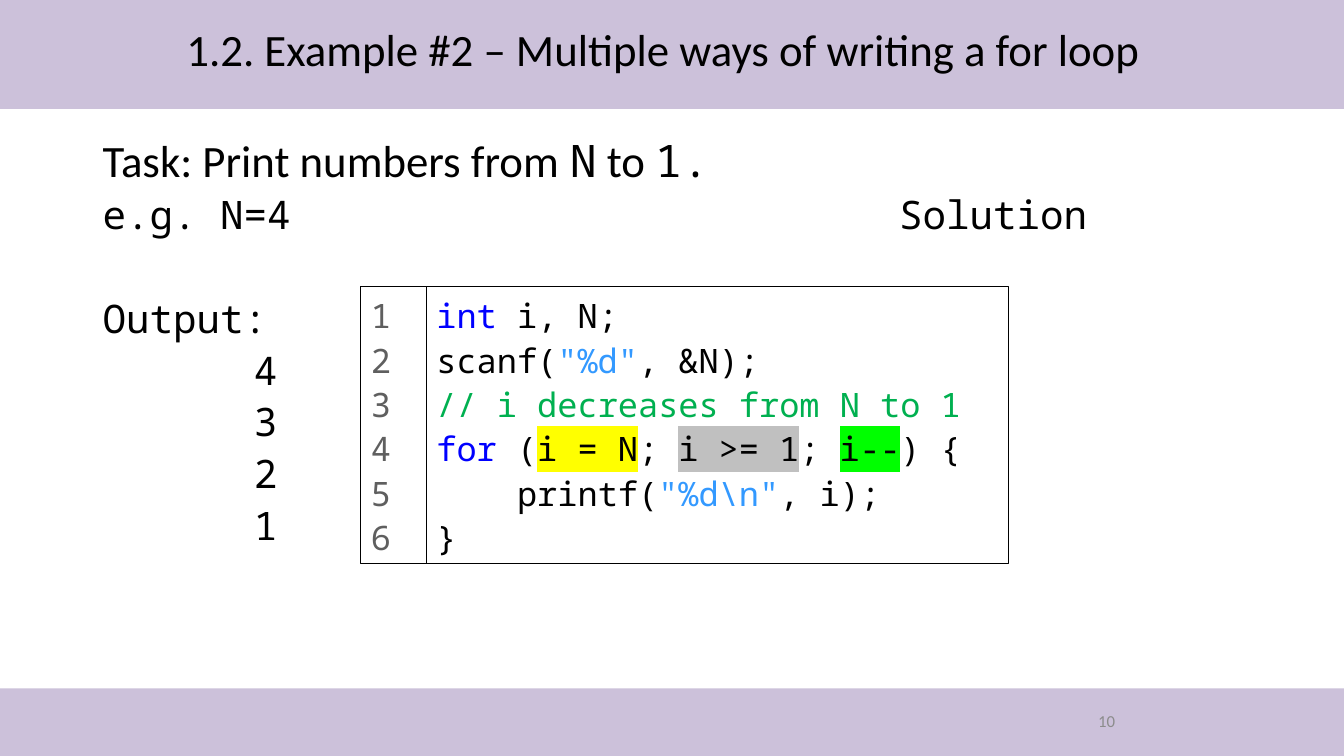
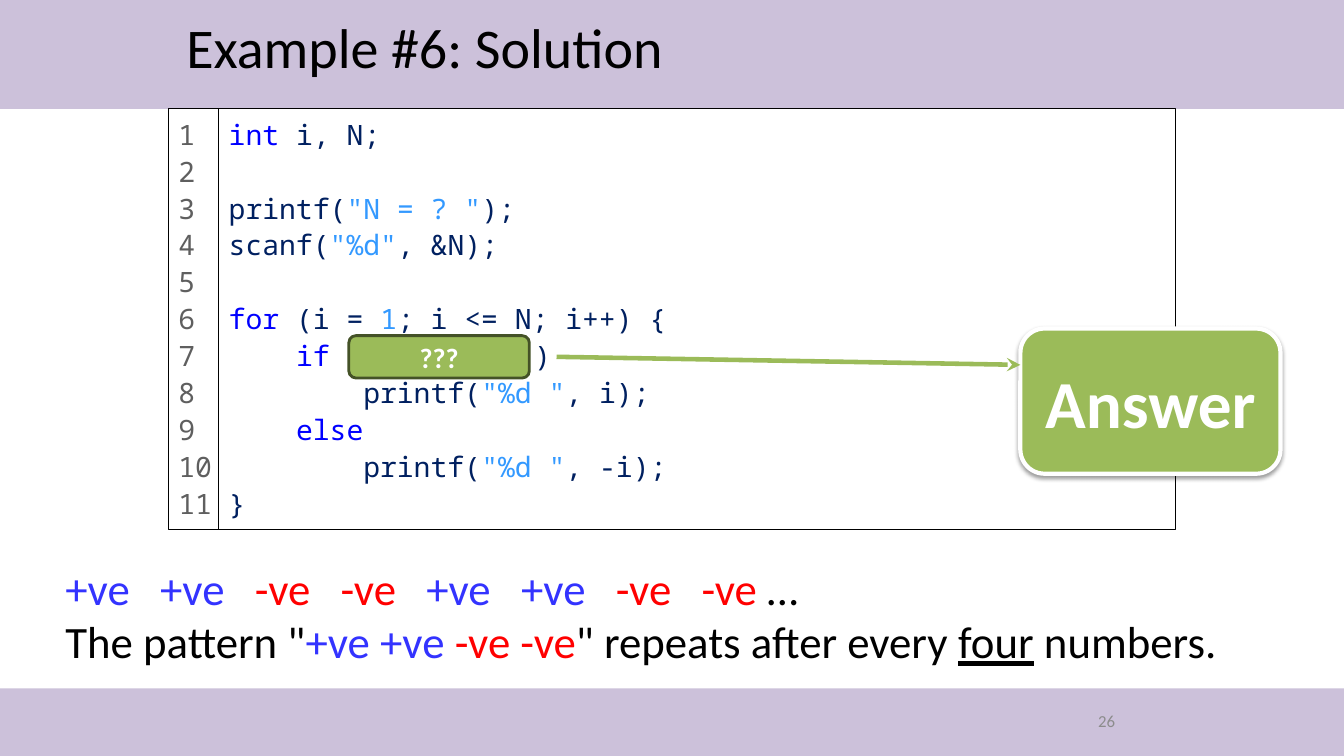
"""Build two lecture slides about for loops in C."""
from itertools import accumulate

from lxml.etree import SubElement
from pptx import Presentation
from pptx.dml.color import RGBColor
from pptx.enum.shapes import MSO_CONNECTOR, MSO_SHAPE
from pptx.enum.text import MSO_ANCHOR, PP_ALIGN
from pptx.oxml import parse_xml
from pptx.oxml.ns import nsdecls, qn
from pptx.util import Inches, Pt

SANS, MONO = "Calibri", "Noto Sans Mono"
COLOURS = {
    "band": "CCC1DA", "black": "000000", "white": "FFFFFF", "navy": "002060",
    "keyword": "0000FF", "literal": "3399FF", "comment": "00B050",
    "line_no": "5F5F5F", "page_no": "8C8C8C", "plus": "3333FF", "minus": "FF0000",
    "green": "9BBB59", "dark_green": "445227",
    "yellow": "FFFF00", "grey": "C0C0C0", "lime": "00FF00",
}
CODE_SPACING = 1.1
LINE_PITCH = 1.32

COUNTDOWN_CODE = [
    [("int ", "keyword"), "i, N;"],
    ["scanf(", ("\"%d\"", "literal"), ", &N);"],
    [("// i decreases from N to 1", "comment")],
    [("for", "keyword"), " (", ("i = N", "black", {"highlight": "yellow"}), "; ",
     ("i >= 1", "black", {"highlight": "grey"}), "; ",
     ("i--", "black", {"highlight": "lime"}), ") {"],
    ["    printf(", ("\"%d\\n\"", "literal"), ", i);"],
    ["}"],
]
PATTERN_CODE = [
    [("int ", "keyword"), "i, N;"],
    [],
    ["printf(", ("\"N = ? \"", "literal"), ");"],
    ["scanf(", ("\"%d\"", "literal"), ", &N);"],
    [],
    [("for", "keyword"), " (i = ", ("1", "literal"), "; i <= N; i++) {"],
    ["    ", ("if", "keyword"), " (\t)"],
    ["        printf(", ("\"%d \"", "literal"), ", i);"],
    ["    ", ("else", "keyword")],
    ["        printf(", ("\"%d \"", "literal"), ", -i);"],
    ["}"],
]
TASK = ["Task: Print numbers from ", ("N", "black", {"name": MONO}), " to ",
        ("1.", "black", {"name": MONO})]
OUTPUT = ["4", "3", "2", "1"]
SIGNS = ["plus", "plus", "minus", "minus"] * 2
SIGN_TEXT = {"plus": "+ve", "minus": "-ve"}
SIGN_STEP = {"plus": 0.94, "minus": 0.85}
PATTERN = ["The pattern \"", ("+ve +ve ", "plus"), ("-ve -ve", "minus"),
           "\" repeats after every ", ("four", "black", {"underline": True}),
           " numbers."]


def rgb(name):
    return RGBColor.from_string(COLOURS[name])


def add_run(p, item, base, font):
    text, colour, extra = (*((item, base) if isinstance(item, str) else item), {})[:3]
    r = p.add_run()
    r.text = text
    for key, value in {**font, **extra}.items():
        if key != "highlight":
            setattr(r.font, key, value)
    r.font.color.rgb = rgb(colour)
    if "highlight" in extra:
        fill = r._r.get_or_add_rPr().find(qn("a:solidFill"))
        fill.addnext(parse_xml(
            f'<a:highlight {nsdecls("a")}>'
            f'<a:srgbClr val="{COLOURS[extra["highlight"]]}"/></a:highlight>'))


def add_para(tf, items, size, name=SANS, base="black", bold=False, indent=0,
             tabs=(), **layout):
    p = tf.paragraphs[0]
    if p.runs:
        p = tf.add_paragraph()
    for key, value in layout.items():
        setattr(p, key, value)
    pPr = p._p.get_or_add_pPr()
    if indent:
        pPr.set("marL", str(Inches(indent)))
        pPr.set("indent", "0")
    if tabs:
        tab_list = SubElement(pPr, qn("a:tabLst"))
        for pos in tabs:
            SubElement(tab_list, qn("a:tab"), pos=str(Inches(pos)), algn="l")
    for item in items:
        add_run(p, item, base, {"name": name, "size": Pt(size), "bold": bold})


def add_text(s, box, anchor=MSO_ANCHOR.TOP):
    tf = s.shapes.add_textbox(*map(Inches, box)).text_frame
    tf.word_wrap = True
    tf.vertical_anchor = anchor
    return tf


def add_box(s, box, fill=None, line=None, width=0.75, kind=MSO_SHAPE.RECTANGLE,
            anchor=MSO_ANCHOR.MIDDLE):
    sp = s.shapes.add_shape(kind, *map(Inches, box))
    sp.shadow.inherit = False
    if fill:
        sp.fill.solid()
        sp.fill.fore_color.rgb = rgb(fill)
    else:
        sp.fill.background()
    if line:
        sp.line.color.rgb = rgb(line)
        sp.line.width = Pt(width)
    else:
        sp.line.fill.background()
    sp.text_frame.word_wrap = True
    sp.text_frame.vertical_anchor = anchor
    return sp


def add_button(s, box, text, size, line, width):
    sp = add_box(s, box, "green", line, width, MSO_SHAPE.ROUNDED_RECTANGLE)
    add_para(sp.text_frame, [text], size, base="white", bold=True,
             alignment=PP_ALIGN.CENTER)
    return sp


def add_listing(s, lines, left, top, number_width, code_width, height, size,
                base, fill=None, tabs=()):
    style = {"size": size, "name": MONO, "line_spacing": CODE_SPACING}
    code = add_box(s, (left + number_width, top, code_width, height), fill, "black",
                   anchor=MSO_ANCHOR.TOP).text_frame
    numbers = add_box(s, (left, top, number_width, height), "white", "black",
                      anchor=MSO_ANCHOR.TOP).text_frame
    numbers.margin_right = 0
    skipped = 0
    for number, line in enumerate(lines, 1):
        add_para(numbers, [str(number)], base="line_no",
                 alignment=PP_ALIGN.LEFT, **style)
        if not line:
            skipped += 1
            continue
        layout = {"space_before": Pt(skipped * size * LINE_PITCH)} if skipped else {}
        add_para(code, line, base=base, tabs=tabs, alignment=PP_ALIGN.LEFT,
                 **style, **layout)
        skipped = 0


def add_slide(prs, title, title_box, title_size, page):
    s = prs.slides.add_slide(prs.slide_layouts[6])
    for top, height in ((0, 1.08), (6.83, 0.67)):
        add_box(s, (0, top, 13.33, height), "band")
    add_para(add_text(s, title_box, MSO_ANCHOR.MIDDLE), [title], title_size)
    add_para(add_text(s, (8.83, 6.95, 2.33, 0.4), MSO_ANCHOR.MIDDLE), [page], 12,
             base="page_no", alignment=PP_ALIGN.RIGHT)
    return s


def add_shadow(sp):
    effects = sp._element.spPr.find(qn("a:effectLst"))
    effects.append(parse_xml(
        f'<a:outerShdw {nsdecls("a")} blurRad="{Pt(3.1)}" dist="{Pt(1.6)}" '
        f'dir="5400000" rotWithShape="0"><a:srgbClr val="{COLOURS["black"]}">'
        '<a:alpha val="38000"/></a:srgbClr></a:outerShdw>'))


def add_arrow(s, start, end):
    line = s.shapes.add_connector(MSO_CONNECTOR.STRAIGHT, *map(Inches, start + end))
    line.line.color.rgb = rgb("green")
    line.line.width = Pt(3.25)
    SubElement(line.line._get_or_add_ln(), qn("a:tailEnd"), type="stealth")
    SubElement(line._element.spPr, qn("a:effectLst"))


def countdown_slide(prs):
    s = add_slide(prs, "1.2. Example #2 – Multiple ways of writing a for loop",
                  (1.75, 0.08, 9.83, 0.81), 32, "10")
    tf = add_text(s, (0.92, 1.21, 11.75, 4.95))
    mono = {"size": 28, "name": MONO, "line_spacing": CODE_SPACING}
    add_para(tf, TASK, 32, line_spacing=CODE_SPACING)
    add_para(tf, ["e.g. N=4\tSolution"], tabs=[7.9], **mono)
    add_para(tf, ["Output:"], space_before=Pt(28 * LINE_PITCH), **mono)
    for number in OUTPUT:
        add_para(tf, [number], indent=1.5, **mono)
    add_listing(s, COUNTDOWN_CODE, 3.58, 2.84, 0.65, 5.77, 2.75, 24, "black", "white")


def pattern_slide(prs):
    s = add_slide(prs, "Example #6: Solution", (1.75, 0.18, 9.75, 0.55), 40, "26")
    add_listing(s, PATTERN_CODE, 1.67, 1.08, 0.5, 9.49, 4.17, 20, "navy", tabs=[3.03])
    add_shadow(add_button(s, (10.12, 3.26, 2.58, 1.44), "Answer", 48, "white", 3))
    add_arrow(s, (5.52, 3.54), (10.12, 3.62))
    add_button(s, (3.46, 3.33, 1.79, 0.42), "???", 20, "dark_green", 2)
    tf = add_text(s, (0.55, 5.51, 11.79, 1.18))
    signs = [(("\t" if i else "") + SIGN_TEXT[sign], sign)
             for i, sign in enumerate(SIGNS)]
    stops = accumulate(SIGN_STEP[sign] for sign in SIGNS[:-1])
    add_para(tf, signs + [" …"], 32, tabs=list(stops))
    add_para(tf, PATTERN, 32)


def main():
    prs = Presentation()
    prs.slide_width, prs.slide_height = Inches(13.33), Inches(7.5)
    countdown_slide(prs)
    pattern_slide(prs)
    prs.save("out.pptx")


if __name__ == "__main__":
    main()
